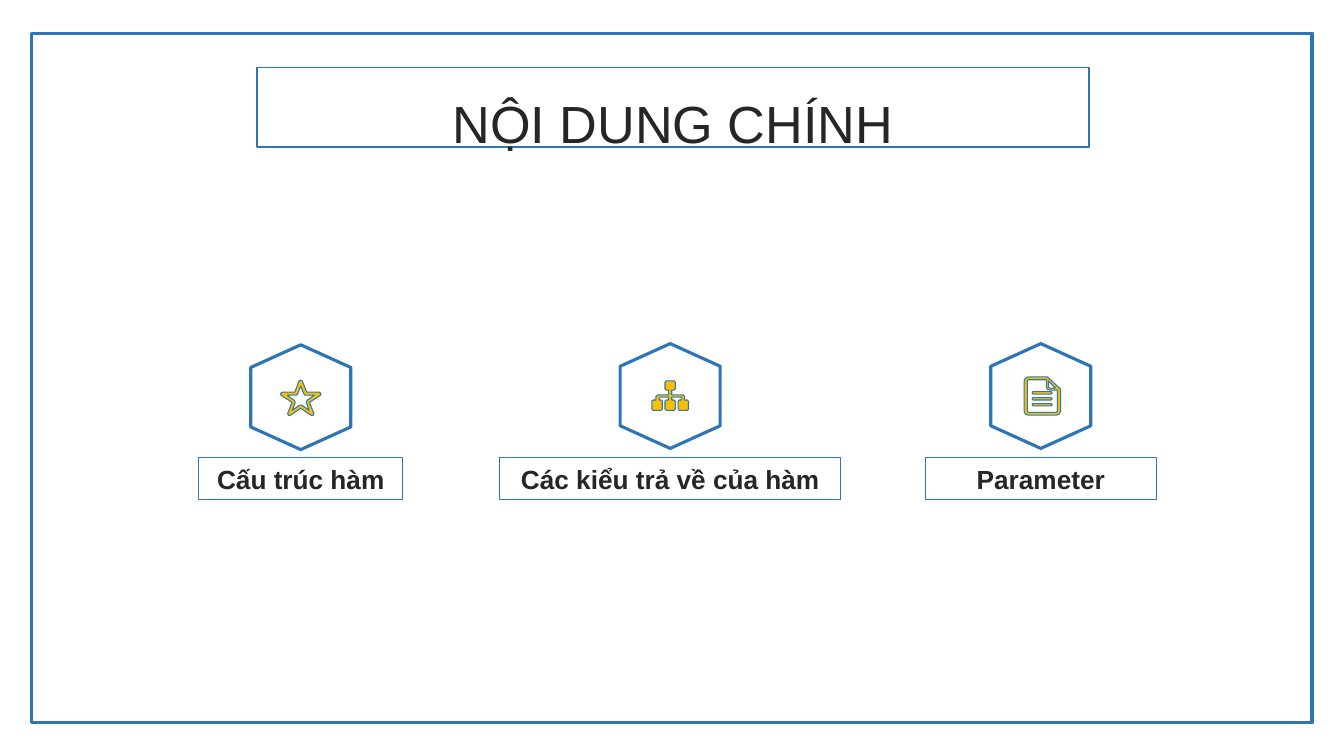
from pptx import Presentation
from pptx.dml.color import RGBColor
from pptx.enum.shapes import MSO_SHAPE
from pptx.enum.text import MSO_ANCHOR, PP_ALIGN
from pptx.util import Cm, Pt

COLORS = {"blue": "2E75B6", "gold": "F8C002", "text": "262626"}
FONT = "Arial"


def write_text(shape, text, size, bold=False, spacing=1.0, anchor=MSO_ANCHOR.MIDDLE):
    frame = shape.text_frame
    frame.word_wrap = True
    frame.vertical_anchor = anchor
    paragraph = frame.paragraphs[0]
    paragraph.text = text
    paragraph.alignment = PP_ALIGN.CENTER
    paragraph.line_spacing = spacing
    font = paragraph.runs[0].font
    font.name, font.size, font.bold = FONT, Pt(size), bold
    font.color.rgb = RGBColor.from_string(COLORS["text"])


def mirrored(half):
    """Close a right-hand half outline with its reflection."""
    return half + [(-x, y) for x, y in reversed(half) if x]


# Outlines in hundredths of a centimetre around the centre of a badge
HEXAGON = [mirrored([(0, -132), (126, -75), (126, 75), (0, 132)])]
STAR = [
    mirrored([(0, -43), (4, -41), (15, -13), (47, -13), (51, -9), (50, -5),
              (22, 13), (33, 41), (31, 46), (27, 46), (0, 28)]),
    mirrored([(0, -28), (8, -8), (11, -5), (34, -5), (16, 8), (14, 13),
              (21, 33), (3, 20), (0, 20)]),
]
HIERARCHY = [
    mirrored([(0, -38), (10, -38), (13, -35), (13, -18), (10, -15), (4, -15),
              (4, -3), (32, -3), (36, 1), (36, 10), (43, 10), (46, 13),
              (46, 33), (43, 36), (23, 36), (20, 33), (20, 13), (23, 10),
              (28, 10), (28, 3), (4, 3), (4, 10), (10, 10), (13, 13),
              (13, 33), (10, 36), (0, 36)]),
]
DOCUMENT = [
    [(-32, -48), (17, -48), (19, -46), (47, -20), (50, -17), (50, 38), (47, 45),
     (39, 48), (-32, 48), (-39, 46), (-42, 38), (-42, -38), (-39, -45)],
    [(-32, -41), (14, -41), (14, -22), (17, -17), (22, -15), (42, -15),
     (42, 38), (39, 41), (-32, 41), (-34, 38), (-34, -38)],
    [(19, -38), (37, -20), (22, -20), (19, -23)],
] + [
    [(-20, y - 3), (26, y - 3), (29, y), (26, y + 3), (-20, y + 3), (-22, y)]
    for y in (-8, 7, 22)
]


class SlideBuilder:
    def __init__(self, slide):
        self.slide = slide

    def style(self, shape, width, fill=None):
        shape.line.color.rgb = RGBColor.from_string(COLORS["blue"])
        shape.line.width = Pt(width)
        if fill:
            shape.fill.solid()
            shape.fill.fore_color.rgb = RGBColor.from_string(COLORS[fill])
        else:
            shape.fill.background()

    def title(self, text, left, top, width, height):
        title = self.slide.shapes.title
        title.left, title.top = Cm(left), Cm(top)
        title.width, title.height = Cm(width), Cm(height)
        self.style(title, 1)
        write_text(title, text, 37.3, spacing=1.2, anchor=MSO_ANCHOR.TOP)
        title.text_frame.margin_top = Cm(0.28)
        title.text_frame.margin_bottom = 0

    def frame(self, left, top, width, height):
        frame = self.slide.shapes.add_shape(
            MSO_SHAPE.RECTANGLE, Cm(left), Cm(top), Cm(width), Cm(height))
        frame.shadow.inherit = False
        self.style(frame, 2.5)

    def label(self, text, left, top, width, height):
        label = self.slide.shapes.add_textbox(
            Cm(left), Cm(top), Cm(width), Cm(height))
        self.style(label, 0.75)
        write_text(label, text, 18.7, bold=True)

    def outline(self, shapes, contours, center, line_width, fill=None):
        builder = shapes.build_freeform(*contours[0][0], scale=float(Cm(0.01)))
        builder.add_line_segments(contours[0][1:], close=True)
        for contour in contours[1:]:
            builder.move_to(*contour[0])
            builder.add_line_segments(contour[1:], close=True)
        shape = builder.convert_to_shape(*center)
        shape.shadow.inherit = False
        self.style(shape, line_width, fill)

    def badge(self, icon, x, y):
        group = self.slide.shapes.add_group_shape()
        center = Cm(x), Cm(y)
        self.outline(group.shapes, HEXAGON, center, 2.25)
        self.outline(group.shapes, icon, center, 0.75, "gold")


def main():
    presentation = Presentation()
    presentation.slide_width, presentation.slide_height = Cm(33.87), Cm(19.05)
    slide = presentation.slides.add_slide(presentation.slide_layouts[5])
    builder = SlideBuilder(slide)

    # Title and border
    builder.title("NỘI DUNG CHÍNH", 6.48, 1.7, 20.96, 2.01)
    builder.frame(0.79, 0.84, 32.28, 17.37)

    # Topics: icon badge above a centred label
    topics = [
        ("Cấu trúc hàm", STAR, 7.58, 10.01, 5.13),
        ("Các kiểu trả về của hàm", HIERARCHY, 16.89, 9.98, 8.59),
        ("Parameter", DOCUMENT, 26.23, 9.98, 5.82),
    ]
    for text, icon, center_x, center_y, width in topics:
        builder.badge(icon, center_x, center_y)
        builder.label(text, center_x - width / 2, 11.53, width, 1.07)

    presentation.save("out.pptx")


if __name__ == "__main__":
    main()
